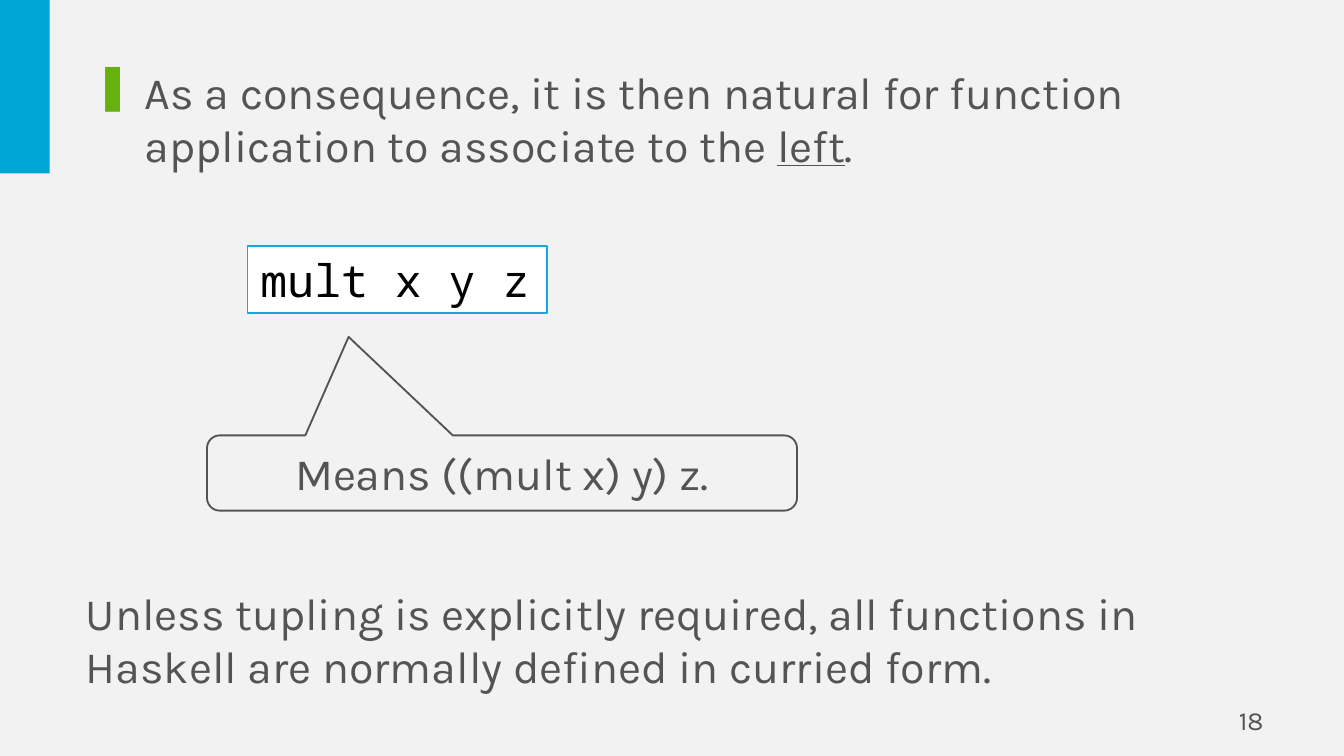
from lxml import etree
from pptx import Presentation
from pptx.dml.color import RGBColor
from pptx.enum.shapes import MSO_SHAPE
from pptx.enum.text import MSO_ANCHOR, PP_ALIGN
from pptx.oxml.ns import qn
from pptx.util import Inches, Pt

RECT, CALLOUT = MSO_SHAPE.RECTANGLE, MSO_SHAPE.ROUNDED_RECTANGULAR_CALLOUT
TOP, MIDDLE = MSO_ANCHOR.TOP, MSO_ANCHOR.MIDDLE
LEFT, CENTER, RIGHT = PP_ALIGN.LEFT, PP_ALIGN.CENTER, PP_ALIGN.RIGHT
GREY, BLUE, GREEN = "545454", "00A6D6", "66B010"

CONSEQUENCE = [
    ("As a consequence, it is then natural for function application to associate to the ", False),
    ("left", True),
    (".", False),
]
EXPRESSION = "mult x y z"
MEANING = "Means ((mult x) y) z."
CURRYING = ("Unless tupling is explicitly required, all functions in Haskell "
            "are normally defined in curried form.")
PAGE = "18"


def rgb(value):
    return RGBColor.from_string(value)


def write(shape, text, font="Karla", size=24, color=GREY, align=LEFT, anchor=MIDDLE, wrap=True):
    frame = shape.text_frame
    frame.word_wrap = wrap
    frame.vertical_anchor = anchor
    paragraph = frame.paragraphs[0]
    paragraph.alignment = align
    for words, underlined in [(text, False)] if isinstance(text, str) else text:
        run = paragraph.add_run()
        run.text = words
        run.font.name = font
        run.font.size = Pt(size)
        run.font.color.rgb = rgb(color)
        run.font.underline = underlined
    return paragraph


def add_bullet(paragraph, mark, color, indent, space_percent):
    properties = paragraph._p.get_or_add_pPr()
    properties.set("marL", str(Inches(indent)))
    properties.set("indent", str(-Inches(indent)))
    space = etree.SubElement(properties, qn("a:spcBef"))
    etree.SubElement(space, qn("a:spcPct")).set("val", str(space_percent * 1000))
    bullet_color = etree.SubElement(properties, qn("a:buClr"))
    etree.SubElement(bullet_color, qn("a:srgbClr")).set("val", color)
    etree.SubElement(properties, qn("a:buChar")).set("char", mark)


def add_shape(slide, kind, box, fill=None, line=None, width=1):
    shape = slide.shapes.add_shape(kind, *map(Inches, box))
    shape.shadow.inherit = False
    if fill:
        shape.fill.solid()
        shape.fill.fore_color.rgb = rgb(fill)
    else:
        shape.fill.background()
    if line:
        shape.line.color.rgb = rgb(line)
        shape.line.width = Pt(width)
    else:
        shape.line.fill.background()
    return shape


def add_text(slide, box, text, **style):
    return write(slide.shapes.add_textbox(*map(Inches, box)), text, **style)


def main():
    deck = Presentation()
    deck.slide_width = Inches(10)
    deck.slide_height = deck.slide_width * 9 // 16
    slide = deck.slides.add_slide(deck.slide_layouts[6])
    slide.background.fill.solid()
    slide.background.fill.fore_color.rgb = rgb("F2F2F2")

    add_shape(slide, RECT, (0, 0, 0.37, 1.29), fill=BLUE)
    add_text(slide, (7.17, 5.21, 2.33, 0.3), PAGE, size=14, align=RIGHT)

    consequence = add_text(slide, (0.6, 0.43, 8.94, 0.88), CONSEQUENCE, anchor=TOP)
    add_bullet(consequence, "❚", GREEN, indent=0.38, space_percent=20)

    expression = add_shape(slide, RECT, (1.84, 1.83, 2.23, 0.5),
                           fill="FFFFFF", line="15A8DB", width=0.75)
    write(expression, EXPRESSION, font="Noto Sans Mono", color="000000", wrap=False)

    meaning = add_shape(slide, CALLOUT, (1.54, 3.24, 4.39, 0.56), line=GREY)
    for index, value in enumerate((-0.26, -1.81, 0.17)):
        meaning.adjustments[index] = value
    write(meaning, MEANING, align=CENTER)

    add_text(slide, (0.54, 4.3, 9.08, 0.91), CURRYING)
    deck.save("out.pptx")


if __name__ == "__main__":
    main()
